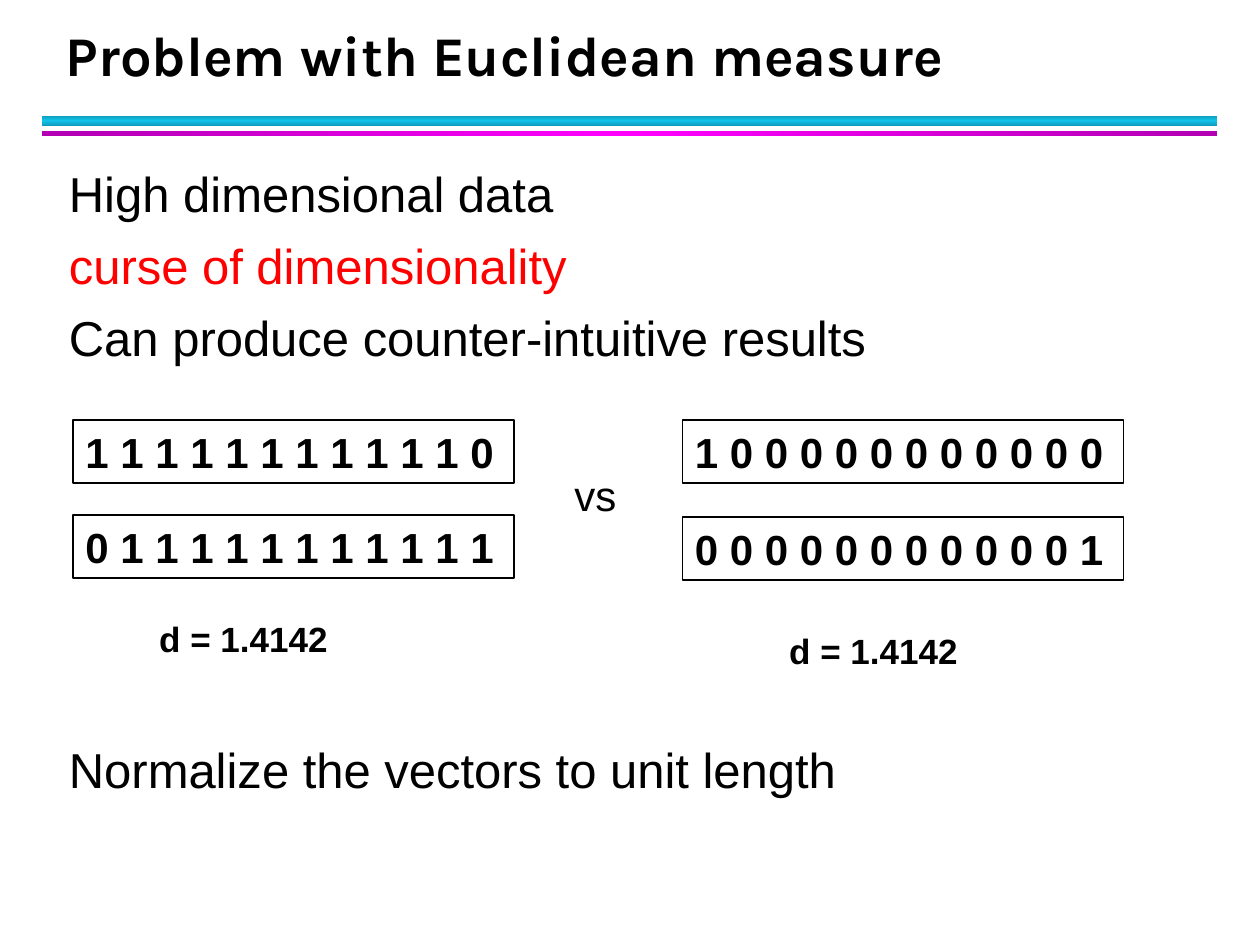
from copy import deepcopy
from dataclasses import dataclass

from pptx import Presentation
from pptx import util as u
from pptx.dml.color import RGBColor
from pptx.enum import shapes, text
from pptx.oxml.ns import qn

Cm, Pt = u.Cm, u.Pt


@dataclass(frozen=True)
class Theme:
    ink: str = "000000"
    accent: str = "FF0000"
    cyan: tuple = ("0E9BBA", "12C2E9")
    magenta: tuple = ("B200B2", "FF00FF")
    title_font: str = "Karla"
    body_font: str = "Arial"
    title_size: int = 32
    body_size: int = 28
    vector_size: int = 24
    distance_size: int = 20


THEME = Theme()


def add_run(paragraph, words, size, color=THEME.ink, bold=False, font=THEME.body_font):
    run = paragraph.add_run()
    run.text = words
    run.font.name = font
    run.font.size = Pt(size)
    run.font.bold = bold
    run.font.color.rgb = RGBColor.from_string(color)


def set_title(slide, words):
    title = slide.shapes.title
    title.left, title.top, title.width, title.height = Cm(1.07), Cm(0.43), Cm(23.01), Cm(1.47)
    frame = title.text_frame
    frame.auto_size = text.MSO_AUTO_SIZE.NONE
    frame.vertical_anchor = text.MSO_ANCHOR.BOTTOM
    paragraph = frame.paragraphs[0]
    paragraph.alignment = text.PP_ALIGN.LEFT
    paragraph.line_spacing = Pt(36)
    add_run(paragraph, words, THEME.title_size, bold=True, font=THEME.title_font)


def add_rule(slide, top, height, colors, angle):
    """Band shaded from its edge color to its middle color and back."""
    edge, middle = colors
    rule = slide.shapes.add_shape(
        shapes.MSO_SHAPE.RECTANGLE, Cm(0.84), Cm(top), Cm(23.7), Cm(height))
    rule.shadow.inherit = False
    rule.line.fill.background()
    rule.fill.gradient()
    rule.fill.gradient_angle = angle
    stop_list = rule._element.spPr.find(qn("a:gradFill")).find(qn("a:gsLst"))
    stop_list.insert(1, deepcopy(stop_list[0]))
    for stop, color, position in zip(
            rule.fill.gradient_stops, (edge, middle, edge), (0, 0.5, 1)):
        stop.color.rgb = RGBColor.from_string(color)
        stop.position = position


def add_text(slide, left, top, width, height):
    frame = slide.shapes.add_textbox(Cm(left), Cm(top), Cm(width), Cm(height)).text_frame
    frame.word_wrap = True
    return frame


def add_points(slide, points):
    """Body lines, each given as words, color and space before."""
    frame = add_text(slide, 1.14, 3.18, 23.11, 14.4)
    for index, (words, color, gap) in enumerate(points):
        paragraph = frame.add_paragraph() if index else frame.paragraphs[0]
        paragraph.space_before = Pt(gap)
        paragraph.space_after = Pt(4)
        add_run(paragraph, words, THEME.body_size, color)


def add_vector(slide, left, top, digits):
    vector = slide.shapes.add_shape(
        shapes.MSO_SHAPE.RECTANGLE, Cm(left), Cm(top), Cm(8.89), Cm(1.27))
    vector.shadow.inherit = False
    vector.fill.background()
    vector.line.color.rgb = RGBColor.from_string(THEME.ink)
    vector.line.width = Pt(1)
    frame = vector.text_frame
    frame.word_wrap = True
    frame.auto_size = text.MSO_AUTO_SIZE.SHAPE_TO_FIT_TEXT
    frame.vertical_anchor = text.MSO_ANCHOR.TOP
    frame.paragraphs[0].alignment = text.PP_ALIGN.LEFT
    add_run(frame.paragraphs[0], digits, THEME.vector_size, bold=True)


def add_distance(slide, left, top, words):
    frame = add_text(slide, left, top, 4.65, 1.12)
    frame.auto_size = text.MSO_AUTO_SIZE.SHAPE_TO_FIT_TEXT
    add_run(frame.paragraphs[0], words, THEME.distance_size, bold=True)


def main():
    deck = Presentation()
    deck.slide_width, deck.slide_height = Cm(25.4), Cm(19.05)
    slide = deck.slides.add_slide(deck.slide_layouts[5])

    # Heading with its two rules
    add_rule(slide, 2.33, 0.21, THEME.cyan, 90)
    add_rule(slide, 2.64, 0.11, THEME.magenta, 0)
    set_title(slide, "Problem with Euclidean measure")

    # Body text, leaving room for the vectors before the conclusion
    add_points(slide, [
        ("High dimensional data", THEME.ink, 0),
        ("curse of dimensionality", THEME.accent, 3.5),
        ("Can produce counter-intuitive results", THEME.ink, 3.5),
        ("Normalize the vectors to unit length", THEME.ink, 209),
    ])

    # Two pairs of vectors with equal distances
    first_top = 8.47
    pairs = [
        (1.47, 10.39, "1 1 1 1 1 1 1 1 1 1 1 0", "0 1 1 1 1 1 1 1 1 1 1 1", 2.96, 12.32),
        (13.76, 10.43, "1 0 0 0 0 0 0 0 0 0 0 0", "0 0 0 0 0 0 0 0 0 0 0 1", 15.66, 12.57),
    ]
    for left, second_top, first, second, distance_left, distance_top in pairs:
        add_vector(slide, left, first_top, first)
        add_vector(slide, left, second_top, second)
        add_distance(slide, distance_left, distance_top, "d = 1.4142")

    # Comparison word between the pairs
    versus = add_text(slide, 11.33, 9.35, 1.5, 1.6)
    add_run(versus.paragraphs[0], "vs", THEME.vector_size)

    deck.save("out.pptx")


if __name__ == "__main__":
    main()
